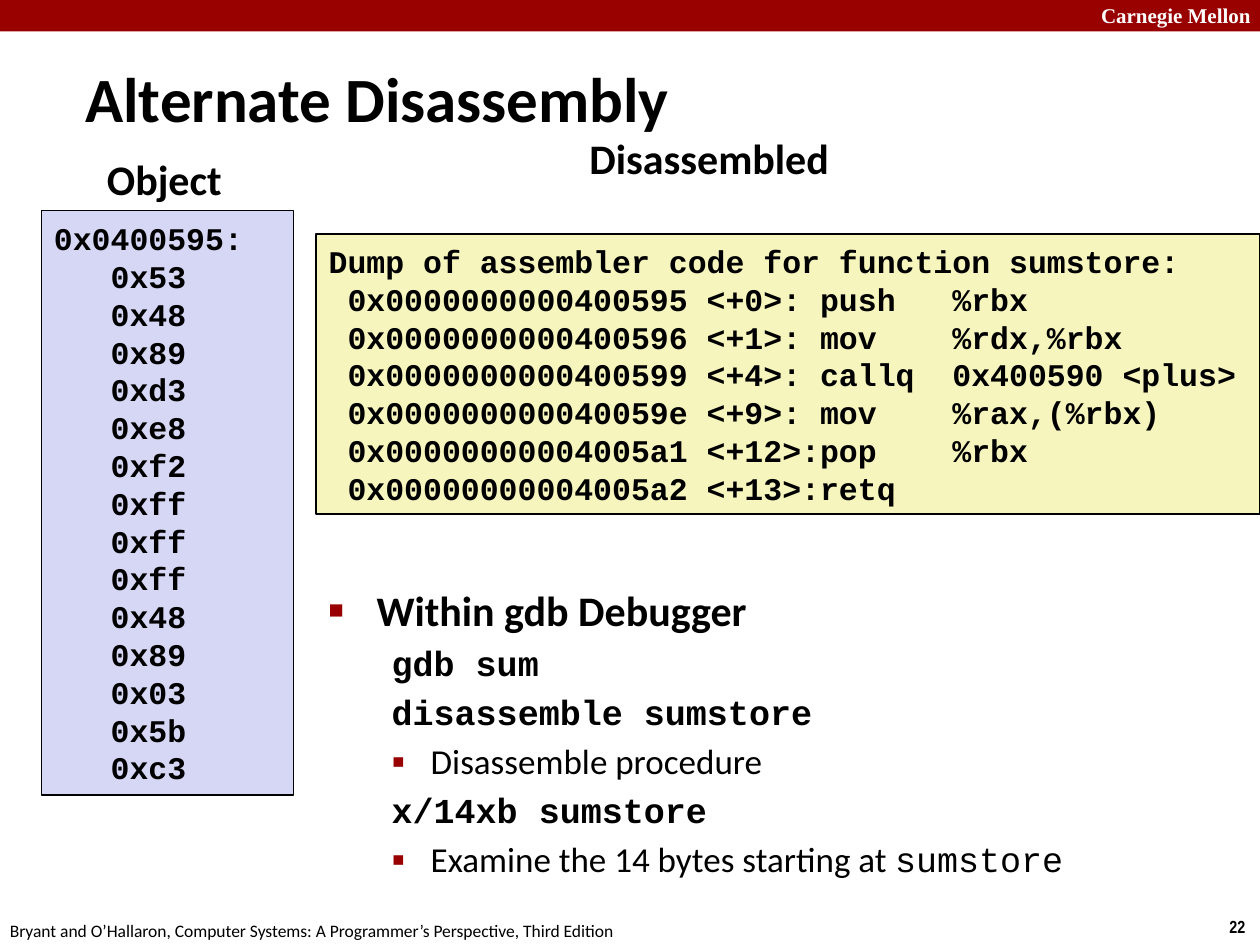
from lxml.etree import SubElement
from pptx import Presentation
from pptx.dml.color import RGBColor
from pptx.enum.shapes import MSO_SHAPE as Shape
from pptx.enum.text import MSO_ANCHOR as Anchor
from pptx.oxml.ns import qn
from pptx.util import Inches, Pt

RED = "990000"
SANS, MONO = "Calibri", "Courier New"

LABELS = [
    ("Carnegie Mellon", (8.64, -0.03, 1.43, 0.3),
     dict(font="Times New Roman", size=12, color="FFFFFF")),
    ("22", (9.66, 7.22, 0.34, 0.27), dict(font="Arial Narrow", size=10)),
    ("Bryant and O’Hallaron, Computer Systems: A Programmer’s Perspective, Third Edition",
     (-0.02, 7.25, 5.08, 0.27), dict(size=10, bold=False)),
    ("Alternate Disassembly", (0.58, 0.46, 6.83, 0.63),
     dict(size=36, anchor=Anchor.MIDDLE)),
    ("Disassembled", (4.58, 1, 2.85, 0.45), {}),
    ("Object", (0.75, 1.17, 1.43, 0.45), {}),
]

OBJECT_BYTES = "53 48 89 d3 e8 f2 ff ff ff 48 89 03 5b c3".split()
OBJECT_CODE = ["0x0400595:"] + [f"   0x{byte}" for byte in OBJECT_BYTES]
ASSEMBLER_DUMP = [
    "Dump of assembler code for function sumstore:",
    " 0x0000000000400595 <+0>: push   %rbx",
    " 0x0000000000400596 <+1>: mov    %rdx,%rbx",
    " 0x0000000000400599 <+4>: callq  0x400590 <plus>",
    " 0x000000000040059e <+9>: mov    %rax,(%rbx)",
    " 0x00000000004005a1 <+12>:pop    %rbx",
    " 0x00000000004005a2 <+13>:retq",
]
LISTINGS = [
    (ASSEMBLER_DUMP, (2.51, 1.86, 7.49, 2.22), "F6F5BD"),
    (OBJECT_CODE, (0.33, 1.67, 2, 4.64), "D6D6F5"),
]

HEADING = dict(bullet=("■", 60), indent=(0.38, -0.38))
COMMAND = dict(font=MONO, size=20, pitch=24, before=4, level=1, indent=(0.81, -0.31))
DETAIL = dict(size=20, bold=False, bullet=("▪", 110), before=4, level=1, indent=(0.81, -0.31))
DEBUGGER_STEPS = [
    (["Within gdb Debugger"], HEADING),
    (["gdb sum"], COMMAND),
    (["disassemble sumstore"], COMMAND),
    (["Disassemble procedure"], DETAIL),
    (["x/14xb sumstore"], COMMAND),
    (["Examine the 14 bytes starting at ", ("sumstore", MONO)], DETAIL),
]


def rgb(value):
    return RGBColor.from_string(value)


def add_bullet(para, symbol, percent):
    props = para._p.get_or_add_pPr()
    SubElement(SubElement(props, qn("a:buClr")), qn("a:srgbClr"), val=RED)
    SubElement(props, qn("a:buSzPct"), val=str(percent * 1000))
    SubElement(props, qn("a:buFont"), typeface="Arial")
    SubElement(props, qn("a:buChar"), char=symbol)


def write(para, spans, font=SANS, size=24, color="000000", bold=True,
          pitch=None, before=0, level=0, indent=None, bullet=None):
    para.level = level
    if pitch:
        para.line_spacing = Pt(pitch)
    if before:
        para.space_before = Pt(before)
    if indent:
        props = para._p.get_or_add_pPr()
        for name, length in zip(("marL", "indent"), indent):
            props.set(name, str(Inches(length)))
    if bullet:
        add_bullet(para, *bullet)
    for item in spans:
        text, face = item if isinstance(item, tuple) else (item, font)
        span = para.add_run()
        span.text = text
        span.font.name = face
        span.font.size = Pt(size)
        span.font.bold = bold
        span.font.color.rgb = rgb(color)


def add_text(page, paras, at, fill=None, line=None, anchor=Anchor.TOP):
    place = [Inches(length) for length in at]
    if fill:
        box = page.shapes.add_shape(Shape.RECTANGLE, *place)
        box.shadow.inherit = False
        box.fill.solid()
        box.fill.fore_color.rgb = rgb(fill)
        if line:
            box.line.color.rgb = rgb(line)
            box.line.width = Pt(1)
        else:
            box.line.fill.background()
    else:
        box = page.shapes.add_textbox(*place)
    frame = box.text_frame
    frame.word_wrap = True
    frame.vertical_anchor = anchor
    for index, (spans, style) in enumerate(paras):
        para = frame.add_paragraph() if index else frame.paragraphs[0]
        para.alignment = 1
        write(para, spans, **style)


def main():
    deck = Presentation()
    deck.slide_width, deck.slide_height = Inches(10), Inches(7.5)
    page = deck.slides.add_slide(deck.slide_layouts[6])

    add_text(page, [], (0, 0, 10, 0.25), fill=RED)
    for text, at, style in LABELS:
        style = dict(style)
        anchor = style.pop("anchor", Anchor.TOP)
        add_text(page, [([text], style)], at, anchor=anchor)
    for rows, at, fill in LISTINGS:
        paras = [([row], dict(font=MONO, size=18, pitch=21.6)) for row in rows]
        add_text(page, paras, at, fill=fill, line="000000", anchor=Anchor.MIDDLE)
    add_text(page, DEBUGGER_STEPS, (2.51, 4.59, 6.89, 2.46))

    deck.save("out.pptx")


if __name__ == "__main__":
    main()
